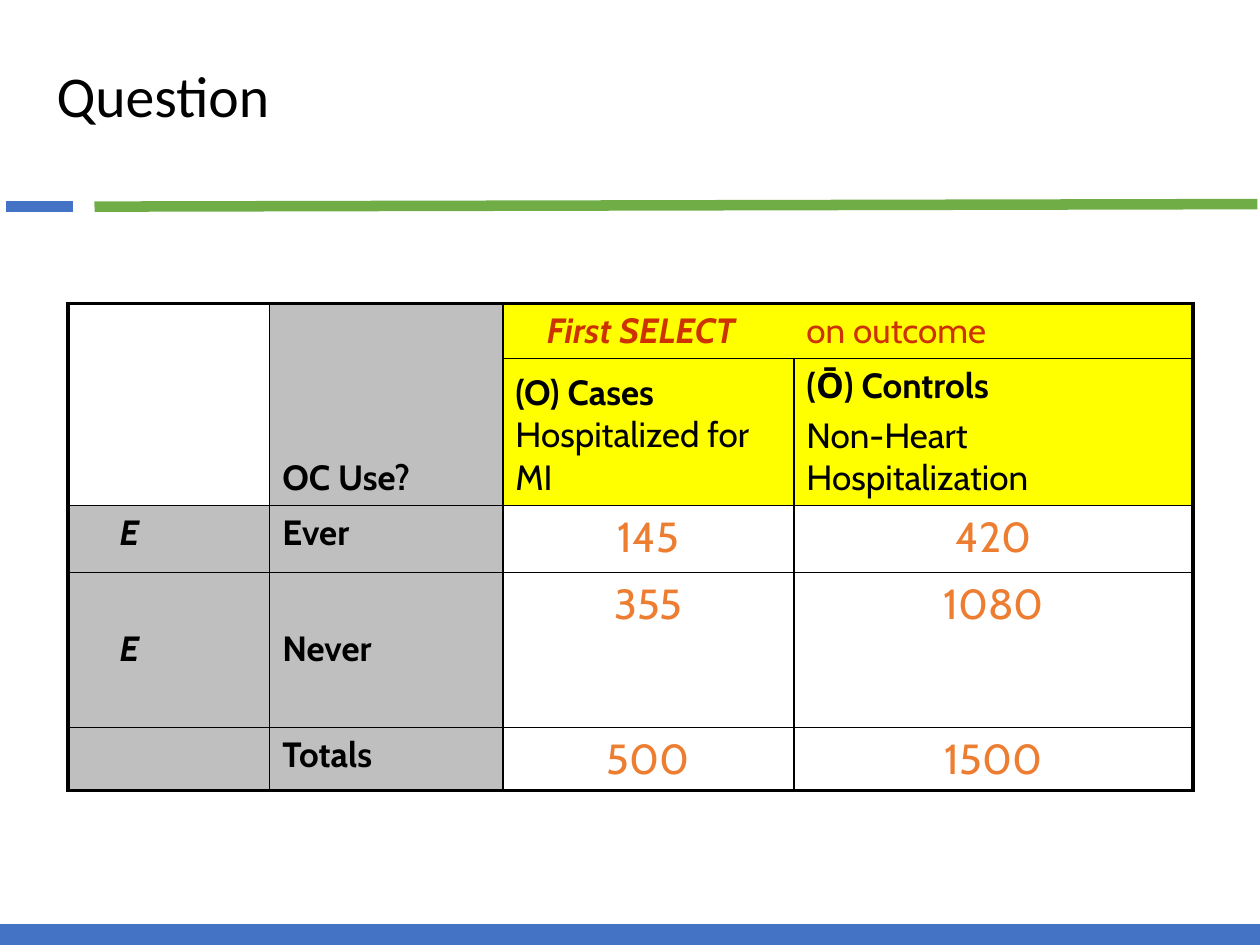
from lxml import etree
from pptx import Presentation
from pptx import util as u
from pptx.dml.color import RGBColor
from pptx.enum import shapes, text
from pptx.oxml.ns import qn

COLORS = {"black": "000000", "white": "FFFFFF", "gray": "BFBFBF", "yellow": "FFFF00",
          "red": "CC3300", "orange": "ED7D31", "green": "70AD47", "blue": "4472C4"}
COLUMNS = [1.6, 1.85, 2.31, 3.17]
ROWS = [0.43, 1.17, 0.53, 1.23, 0.5]
BOLD, ITALIC = {"bold": True}, {"bold": True, "italic": True}
RED = {"color": "red"}


def color(name):
    return RGBColor.from_string(COLORS[name])


def add_run(paragraph, words, font="Cabin", size=20, color_name="black", bold=False, italic=False):
    run = paragraph.add_run()
    run.text = words
    run.font.name, run.font.size = font, u.Pt(size)
    run.font.bold, run.font.italic = bold, italic
    run.font.color.rgb = color(color_name)


def add_rule(slide, start, end, color_name, width):
    points = [u.Inches(value) for value in start + end]
    rule = slide.shapes.add_connector(shapes.MSO_CONNECTOR.STRAIGHT, *points)
    rule.line.color.rgb = color(color_name)
    rule.line.width = u.Pt(width)
    etree.SubElement(rule._element.spPr, qn("a:effectLst"))


def add_frame(slide):
    """Rules under the title and along the foot."""
    add_rule(slide, (9.98, 1.62), (0.75, 1.64), "green", 6)
    add_rule(slide, (0.58, 1.64), (0.05, 1.64), "blue", 6)
    add_rule(slide, (10, 7.42), (0, 7.42), "blue", 12)


def add_title(slide, words, box):
    frame = slide.shapes.add_textbox(*[u.Inches(value) for value in box]).text_frame
    frame.word_wrap = True
    frame.vertical_anchor = text.MSO_ANCHOR.MIDDLE
    frame.paragraphs[0].line_spacing = 0.9
    add_run(frame.paragraphs[0], words, "Calibri", 33)


def set_borders(cell, row, column):
    """Heavy outer edge, thin inner edges, none inside the top heading."""
    edges = {"L": column == 0, "R": column == len(COLUMNS) - 1,
             "T": row == 0, "B": row == len(ROWS) - 1}
    properties = cell._tc.get_or_add_tcPr()
    for side, outer in edges.items():
        width = u.Pt(2.25 if outer else 1)
        line = etree.SubElement(properties, qn("a:ln" + side), w=str(int(width)))
        if (row, column, side) in ((0, 2, "R"), (0, 3, "L")):
            etree.SubElement(line, qn("a:noFill"))
        else:
            fill = etree.SubElement(line, qn("a:solidFill"))
            etree.SubElement(fill, qn("a:srgbClr"), val=COLORS["black"])


def fill_cell(cell, paragraphs, centered=False, size=20, color_name="black"):
    """Each paragraph is a list of (words, style) runs."""
    frame = cell.text_frame
    for index, runs in enumerate(paragraphs):
        paragraph = frame.add_paragraph() if index else frame.paragraphs[0]
        paragraph.space_before = u.Pt(4)
        if centered:
            paragraph.alignment = text.PP_ALIGN.CENTER
        for words, style in runs:
            add_run(paragraph, words, **{"size": size, "color_name": color_name, **style})


def add_table(slide, left, top):
    frame = slide.shapes.add_table(len(ROWS), len(COLUMNS), u.Inches(left), u.Inches(top),
                                   u.Inches(sum(COLUMNS)), u.Inches(sum(ROWS)))
    table = frame.table
    table.first_row = table.horz_banding = False
    for lines, column_width in zip(table.columns, COLUMNS):
        lines.width = u.Inches(column_width)
    for lines, row_height in zip(table.rows, ROWS):
        lines.height = u.Inches(row_height)

    # Borders, fills and anchors follow from the place in the grid
    for row in range(len(ROWS)):
        for column in range(len(COLUMNS)):
            cell = table.cell(row, column)
            set_borders(cell, row, column)
            heading, label = row < 2, column < 2
            cell.fill.solid()
            if heading:
                name = ("white", "gray", "yellow", "yellow")[column]
                cell.vertical_anchor = text.MSO_ANCHOR.BOTTOM
            else:
                name = "gray" if label else "white"
            cell.fill.fore_color.rgb = color(name)
    for column in (0, 1):
        table.cell(0, column).merge(table.cell(1, column))

    # Headings
    red = {"color_name": "red"}
    fill_cell(table.cell(0, 1), [[("OC Use?", BOLD)]])
    fill_cell(table.cell(0, 2), [[("First SELECT", {**ITALIC, **red})]])
    table.cell(0, 2).margin_left = u.Inches(0.35)
    fill_cell(table.cell(0, 3), [[("on outcome", red)]])
    fill_cell(table.cell(1, 2), [[("(O) Cases ", BOLD), ("Hospitalized for MI", {})]])
    fill_cell(table.cell(1, 3), [[("(Ō) Controls", BOLD)], [("Non-Heart Hospitalization", {})]])

    # Exposure rows
    body = [("E", "Ever", 145, 420), ("E", "Never", 355, 1080), ("", "Totals", 500, 1500)]
    for row, (exposure, use, *counts) in enumerate(body, start=2):
        if exposure:
            fill_cell(table.cell(row, 0), [[(exposure, ITALIC)]])
            table.cell(row, 0).margin_left = u.Inches(0.41)
        fill_cell(table.cell(row, 1), [[(use, BOLD)]])
        for column, count in enumerate(counts, start=2):
            fill_cell(table.cell(row, column), [[(str(count), {})]], True, 24, "orange")
    for column in (0, 1):
        table.cell(3, column).margin_top = u.Inches(0.44)


presentation = Presentation()
presentation.slide_width, presentation.slide_height = u.Inches(10), u.Inches(7.5)
slide = presentation.slides.add_slide(presentation.slide_layouts[6])
add_frame(slide)
add_title(slide, "Question", (0.35, 0.22, 9.55, 1.12))
add_table(slide, 0.54, 2.41)
presentation.save("out.pptx")
